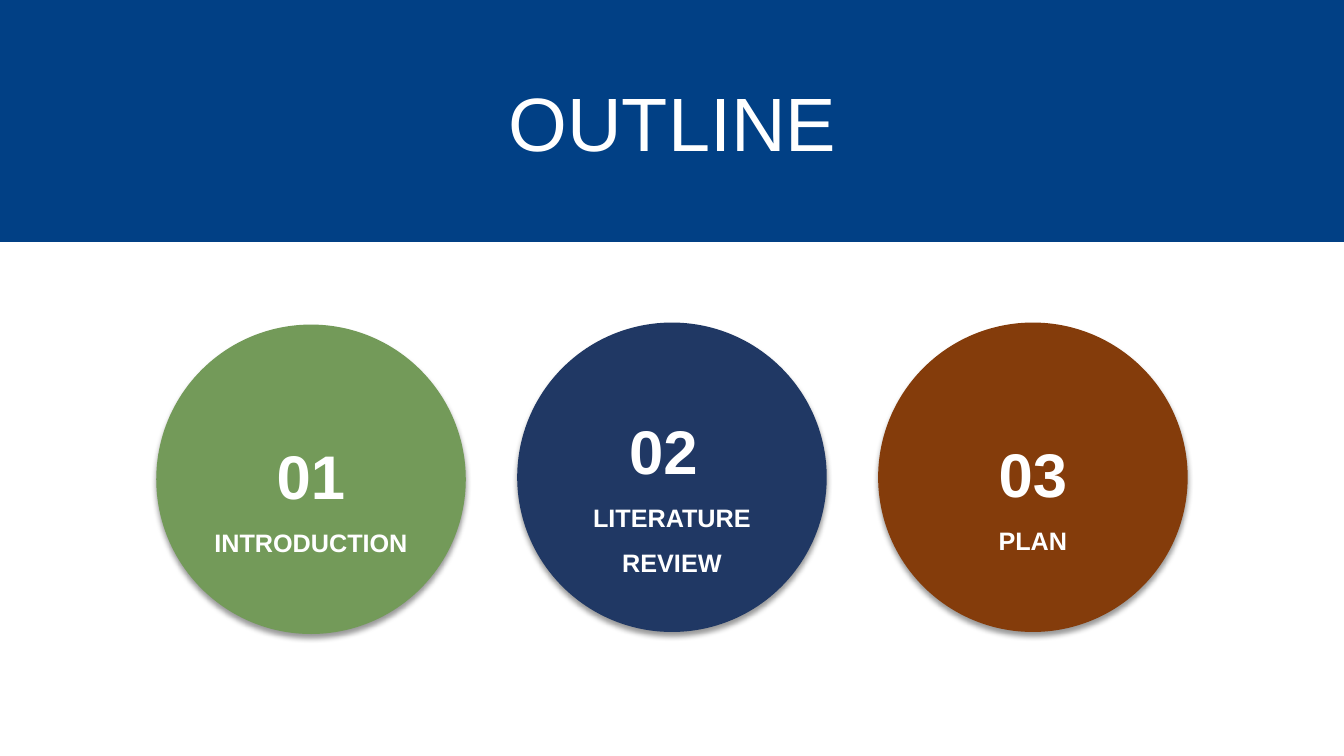
from dataclasses import dataclass

from lxml import etree
from pptx import Presentation
from pptx import util as u
from pptx.dml.color import RGBColor
from pptx.enum import shapes, text
from pptx.oxml.ns import qn

COLORS = {
    "band": "014085",
    "green": "739A59",
    "navy": "203864",
    "brown": "843C0B",
    "white": "FFFFFF",
    "shadow": "000000",
}
FONT = "Arial"
DIAMETER = 3.07
FIRST_LEFT = 1.55
PITCH = 3.58


@dataclass
class Topic:
    number: str
    label: str
    color: str
    top: float


TOPICS = [
    Topic("01", "INTRODUCTION", "green", 3.22),
    Topic("02 ", "LITERATURE REVIEW", "navy", 3.2),
    Topic("03", "PLAN", "brown", 3.2),
]


def add_filled_shape(page, kind, left: float, top: float, width: float,
                     height: float, color: str):
    shape = page.shapes.add_shape(kind, u.Inches(left), u.Inches(top),
                                  u.Inches(width), u.Inches(height))
    shape.shadow.inherit = False
    shape.fill.solid()
    shape.fill.fore_color.rgb = RGBColor.from_string(COLORS[color])
    shape.line.fill.background()
    return shape


def add_shadow(shape) -> None:
    effects = shape._element.spPr.find(qn("a:effectLst"))
    shadow = etree.SubElement(effects, qn("a:outerShdw"), blurRad=str(u.Pt(4)),
                              dist=str(u.Pt(3)), dir=str(90 * 60000),
                              algn="t", rotWithShape="0")
    color = etree.SubElement(shadow, qn("a:srgbClr"), val=COLORS["shadow"])
    etree.SubElement(color, qn("a:alpha"), val="40000")


def format_paragraph(para, size: int, bold: bool, spacing: float) -> None:
    para.alignment = text.PP_ALIGN.CENTER
    para.line_spacing = spacing
    for span in para.runs:
        span.font.name = FONT
        span.font.size = u.Pt(size)
        span.font.bold = bold
        span.font.color.rgb = RGBColor.from_string(COLORS["white"])


def add_header(page) -> None:
    band = add_filled_shape(page, shapes.MSO_SHAPE.RECTANGLE,
                            0, 0, 13.33, 2.4, "band")
    title = page.shapes.title
    title._element.addprevious(band._element)  # band goes behind the title
    title.left, title.top = u.Inches(4.81), u.Inches(0.7)
    title.width, title.height = u.Inches(3.72), u.Inches(1.01)
    frame = title.text_frame
    frame.text = "OUTLINE"
    frame.word_wrap = True
    frame.auto_size = text.MSO_AUTO_SIZE.SHAPE_TO_FIT_TEXT
    frame.vertical_anchor = text.MSO_ANCHOR.TOP
    format_paragraph(frame.paragraphs[0], 54, False, 1.0)


def add_topic(page, topic: Topic, left: float) -> None:
    circle = add_filled_shape(page, shapes.MSO_SHAPE.OVAL, left, topic.top,
                              DIAMETER, DIAMETER, topic.color)
    add_shadow(circle)
    frame = circle.text_frame
    frame.word_wrap = True
    frame.vertical_anchor = text.MSO_ANCHOR.MIDDLE
    frame.text = f"{topic.number}\n{topic.label}"
    for para, size in zip(frame.paragraphs, (44, 18)):
        format_paragraph(para, size, True, 1.5)


def main() -> None:
    deck = Presentation()
    deck.slide_width, deck.slide_height = u.Inches(13.33), u.Inches(7.5)
    page = deck.slides.add_slide(deck.slide_layouts.get_by_name("Title Only"))

    # Header band with the title
    add_header(page)

    # Row of topic circles
    for index, topic in enumerate(TOPICS):
        add_topic(page, topic, FIRST_LEFT + index * PITCH)

    deck.save("out.pptx")


if __name__ == "__main__":
    main()
